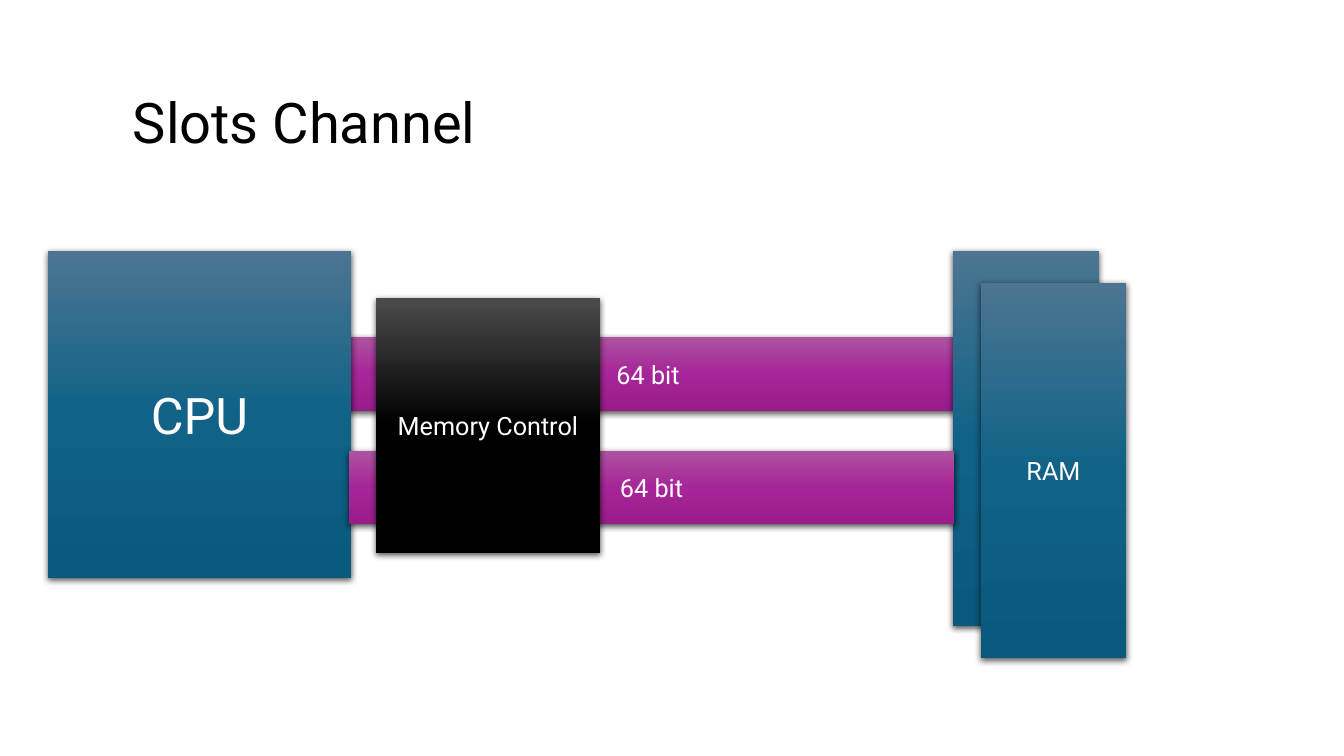
from copy import deepcopy

from lxml import etree
from pptx import Presentation
from pptx import util as u
from pptx.dml.color import RGBColor
from pptx.enum import shapes, text
from pptx.oxml.ns import qn

PX = u.Inches(1) / 100.8

THEME = {
    "font": "Roboto",
    "title": "000000",
    "label": "FFFFFF",
    "shadow": "000000",
    "blue": ("4C7591", "106287", "09597D"),
    "purple": ("AC53A0", "A62598", "991C8B"),
    "black": ("4B4B4B", "000000", "000000"),
    "title_size": 40,
    "large_size": 36,
    "label_size": 18,
}


def add_label(shape, wording, size, color, alignment):
    frame = shape.text_frame
    frame.word_wrap = True
    frame.vertical_anchor = text.MSO_ANCHOR.MIDDLE
    paragraph = frame.paragraphs[0]
    paragraph.alignment = alignment
    run = paragraph.add_run()
    run.text = wording
    run.font.name = THEME["font"]
    run.font.size = u.Pt(size)
    run.font.color.rgb = RGBColor.from_string(color)
    return paragraph


def style_block(shape, colors):
    """Give the block a three-stop gradient from top to bottom and a soft shadow."""
    shape.line.fill.background()
    shape.fill.gradient()
    shape.fill.gradient_angle = 270
    properties = shape.element.spPr
    stop_list = properties.find(qn("a:gradFill")).find(qn("a:gsLst"))
    stop_list.insert(1, deepcopy(stop_list[0]))
    for stop, position, color in zip(shape.fill.gradient_stops, (0, 0.5, 1), colors):
        stop.position = position
        stop.color.rgb = RGBColor.from_string(color)

    shape.shadow.inherit = False
    shadow = etree.SubElement(
        properties.find(qn("a:effectLst")), qn("a:outerShdw"),
        blurRad=str(u.Pt(4.5)), dist=str(u.Pt(1.5)), dir="5400000",
        algn="ctr", rotWithShape="0")
    shadow_color = etree.SubElement(shadow, qn("a:srgbClr"), val=THEME["shadow"])
    etree.SubElement(shadow_color, qn("a:alpha"), val="63000")


presentation = Presentation()
presentation.slide_width = round(1344 * PX)
presentation.slide_height = round(756 * PX)
slide = presentation.slides.add_slide(presentation.slide_layouts[6])

title = slide.shapes.add_textbox(*(round(n * PX) for n in (123, 60, 1121, 130)))
title_paragraph = add_label(title, "Slots Channel", THEME["title_size"],
                            THEME["title"], text.PP_ALIGN.LEFT)
title_paragraph.line_spacing = 0.9

# Back to front: wording, type size, gradient, (left, top, width, height)
blocks = [
    ("64 bit", "label_size", "purple", (342, 337, 612, 74)),
    ("", "label_size", "blue", (953, 251, 146, 375)),
    ("CPU", "large_size", "blue", (48, 251, 303, 327)),
    ("64 bit", "label_size", "purple", (349, 451, 605, 73)),
    ("Memory Control", "label_size", "black", (376, 298, 224, 255)),
    ("RAM", "label_size", "blue", (981, 283, 145, 375)),
]
for wording, size, gradient, box in blocks:
    block = slide.shapes.add_shape(shapes.MSO_SHAPE.RECTANGLE,
                                   *(round(n * PX) for n in box))
    style_block(block, THEME[gradient])
    if wording:
        add_label(block, wording, THEME[size], THEME["label"], text.PP_ALIGN.CENTER)

presentation.save("out.pptx")
